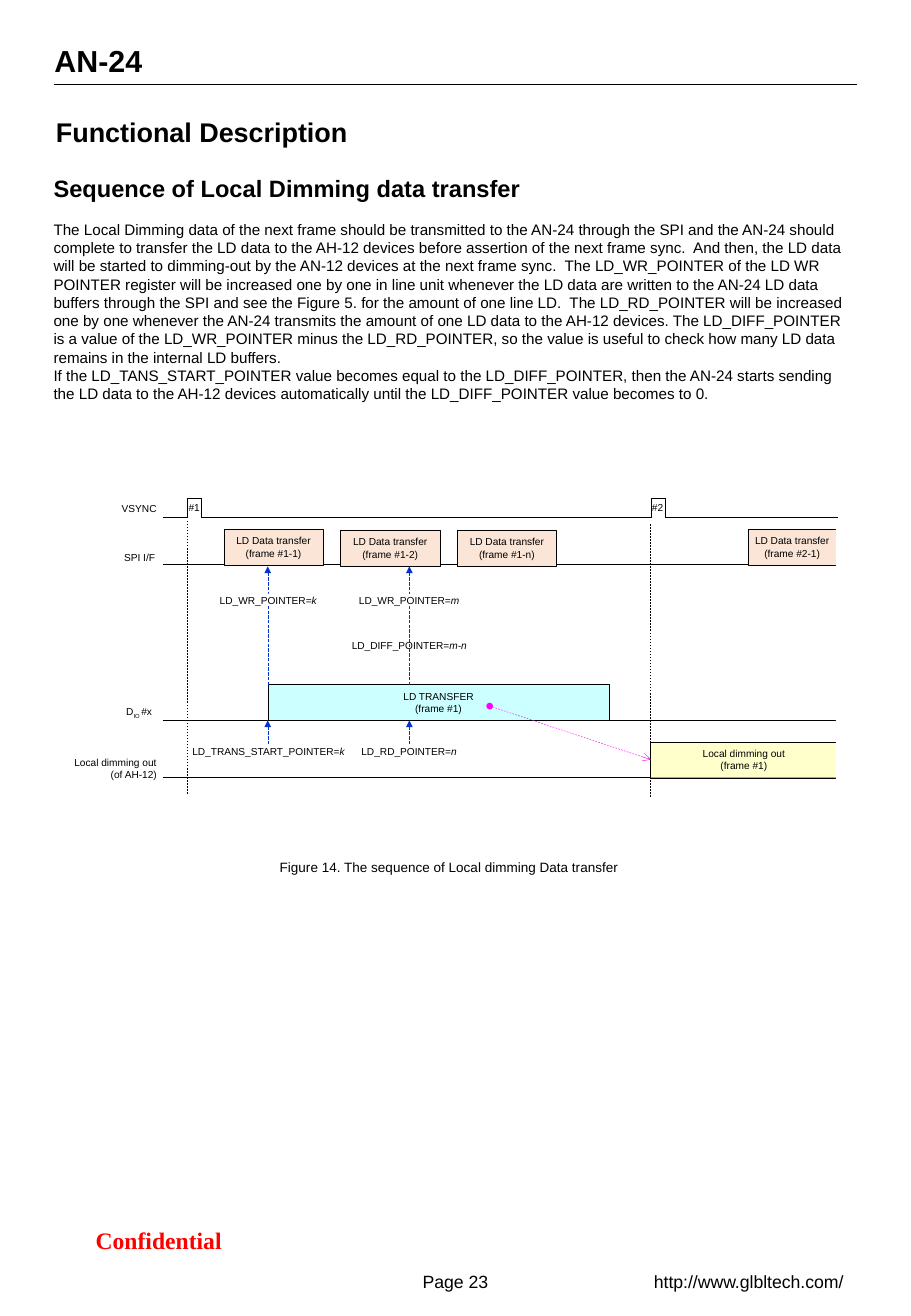
from itertools import pairwise

from lxml.etree import SubElement
from pptx import Presentation
from pptx.dml.color import RGBColor
from pptx.enum.dml import MSO_LINE
from pptx.enum.shapes import MSO_CONNECTOR, MSO_SHAPE
from pptx.enum.text import MSO_ANCHOR, MSO_AUTO_SIZE, PP_ALIGN
from pptx.oxml.ns import qn
from pptx.util import Cm, Pt

rgb = RGBColor.from_string
LEFT, CENTER = PP_ALIGN.LEFT, PP_ALIGN.CENTER


def write(sp, lines, size=6, color="000000", align=CENTER, font="Arial",
          bold=False, wrap=True):
    """Fill a shape with paragraphs, each given as a list of run texts."""
    tf = sp.text_frame
    tf.auto_size = MSO_AUTO_SIZE.NONE
    tf.word_wrap = wrap
    tf.vertical_anchor = MSO_ANCHOR.TOP if align == LEFT else MSO_ANCHOR.MIDDLE
    tf.margin_left = tf.margin_top = tf.margin_right = tf.margin_bottom = 0
    for i, texts in enumerate(lines):
        p = tf.add_paragraph() if i else tf.paragraphs[0]
        p.alignment = align
        for text in texts:
            r = p.add_run()
            r.text = text
            r.font.size = Pt(size)
            r.font.name = font
            r.font.bold = bold
            r.font.color.rgb = rgb(color)


def connect(x1, y1, x2, y2, color="000000", width=0.25, dash=None, head=None, tail=None):
    cxn = s.shapes.add_connector(MSO_CONNECTOR.STRAIGHT, Cm(x1), Cm(y1), Cm(x2), Cm(y2))
    cxn.line.color.rgb = rgb(color)
    cxn.line.width = Pt(width)
    if dash:
        cxn.line.dash_style = dash
    ln = cxn.line._get_or_add_ln()
    for tag, kind in (("a:headEnd", head), ("a:tailEnd", tail)):
        if kind:
            SubElement(ln, qn(tag), type=kind, w="sm", len="sm")
    SubElement(cxn._element.spPr, qn("a:effectLst"))


prs = Presentation()
prs.slide_width, prs.slide_height = Cm(19.05), Cm(27.51)
s = prs.slides.add_slide(prs.slide_layouts[5])

# Title, headings, header and footer
title = s.shapes.title
title.left, title.top, title.width, title.height = Cm(1.17), Cm(2.42), Cm(16.7), Cm(0.69)
write(title, [["Functional Description"]], 16, align=LEFT, bold=True)

connect(1.12, 1.77, 17.93, 1.77, width=0.5)
page_texts = [
    (1.14, 0.89, 1.88, 0.76, "AN-24", dict(size=18, align=LEFT, bold=True, wrap=False)),
    (1.12, 3.64, 16.54, 0.61, "Sequence of Local Dimming data transfer",
     dict(size=14, align=LEFT, bold=True)),
    (5.85, 17.96, 7.26, 0.36, "Figure 14. The sequence of Local dimming Data transfer",
     dict(size=8, align=LEFT, wrap=False)),
    (0.87, 25.5, 4.9, 0.86, "Confidential",
     dict(size=14, color="FF0000", font="Times New Roman", bold=True)),
    (8.33, 26.35, 2.39, 0.86, "Page 23", dict(size=10.5)),
    (13.27, 26.35, 4.78, 0.86, "http://www.glbltech.com/", dict(size=10.5)),
]
for x, y, w, h, text, style in page_texts:
    write(s.shapes.add_textbox(Cm(x), Cm(y), Cm(w), Cm(h)), [[text]], **style)

description = [
    "The Local Dimming data of the next frame should be transmitted to the AN-24 through "
    "the SPI and the AN-24 should",
    "complete to transfer the LD data to the AH-12 devices before assertion of the next "
    "frame sync.  And then, the LD data",
    "will be started to dimming-out by the AN-12 devices at the next frame sync.  "
    "The LD_WR_POINTER of the LD WR POINTER register will be increased one by one in line "
    "unit whenever the LD data are written to the AN-24 LD data buffers through the SPI and "
    "see the Figure 5. for the amount of one line LD.  The LD_RD_POINTER will be increased "
    "one by one whenever the AN-24 transmits the amount of one LD data to the AH-12 devices. "
    "The LD_DIFF_POINTER",
    "is a value of the LD_WR_POINTER minus the LD_RD_POINTER, so the value is useful to "
    "check how many LD data",
    "remains in the internal LD buffers.",
    "If the LD_TANS_START_POINTER value becomes equal to the LD_DIFF_POINTER, then the "
    "AN-24 starts sending",
    "the LD data to the AH-12 devices automatically until the LD_DIFF_POINTER value "
    "becomes to 0.",
]
body = s.shapes.add_textbox(Cm(1.12), Cm(4.6), Cm(16.54), Cm(3.86))
write(body, [[text] for text in description], 9, align=LEFT)

# Timing diagram: VSYNC waveform and signal tracks
low, high = 10.82, 10.41
vsync = [(3.4, low)]
for x in (3.91, 13.61):
    vsync += [(x, low), (x, high), (x + 0.3, high), (x + 0.3, low)]
vsync.append((17.53, low))
for start, end in pairwise(vsync):
    connect(*start, *end)
for y in (11.8, 15.06, 16.25):
    connect(3.4, y, 17.53, y)

signal_labels = [
    (2.53, 10.48, 0.76, [["VSYNC"]]),
    (2.54, 11.51, 0.76, [["SPI I/F"]]),
    (2.53, 14.74, 0.76, [["D", "IO ", "#x"]]),
    (1.55, 15.92, 1.73, [["Local dimming out"], ["(of AH-12)"]]),
    (3.88, 10.46, 0.36, [["#1"]]),
    (13.57, 10.46, 0.36, [["#2"]]),
]
for x, y, w, lines in signal_labels:
    sp = s.shapes.add_textbox(Cm(x), Cm(y), Cm(w), Cm(0.3))
    write(sp, lines)
    p = sp.text_frame.paragraphs[-1]
    if len(lines) == 2:
        p.alignment = PP_ALIGN.RIGHT
    if len(p.runs) == 3:
        p.runs[1]._r.get_or_add_rPr().set("baseline", "-25000")

# Transfer blocks
blocks = [
    (4.68, 11.06, 2.08, "FBE5D6", "LD Data transfer", "(frame #1-1)"),
    (7.12, 11.08, 2.08, "FBE5D6", "LD Data transfer", "(frame #1-2)"),
    (9.56, 11.08, 2.08, "FBE5D6", "LD Data transfer", "(frame #1-n)"),
    (15.65, 11.06, 1.83, "FBE5D6", "LD Data transfer", "(frame #2-1)"),
    (5.6, 14.31, 7.14, "CCFFFF", "LD TRANSFER", "(frame #1)"),
    (13.6, 15.51, 3.91, "FFFFCC", "Local dimming out", "(frame #1)"),
]
for x, y, w, fill, name, frame in blocks:
    sp = s.shapes.add_shape(MSO_SHAPE.RECTANGLE, Cm(x), Cm(y), Cm(w), Cm(0.75))
    sp.shadow.inherit = False
    sp.fill.solid()
    sp.fill.fore_color.rgb = rgb(fill)
    sp.line.color.rgb = rgb("000000")
    sp.line.width = Pt(0.25)
    write(sp, [[name], [frame]])

# White strip that leaves the last blocks open at the right
edge = s.shapes.add_shape(MSO_SHAPE.RECTANGLE, Cm(17.48), Cm(10.87), Cm(0.15), Cm(5.49))
edge.shadow.inherit = False
edge.fill.solid()
edge.fill.fore_color.rgb = rgb("FFFFFF")
edge.line.fill.background()

# Pointer labels; the arrows run over the first one and behind the rest
pointers = [
    (7.34, 13.36, 2.44, "LD_DIFF_POINTER=", "m-n"),
    (4.57, 12.41, 2.08, "LD_WR_POINTER=", "k"),
    (7.49, 12.42, 2.13, "LD_WR_POINTER=", "m"),
    (3.99, 15.57, 3.25, "LD_TRANS_START_POINTER=", "k"),
    (7.54, 15.57, 2.03, "LD_RD_POINTER=", "n"),
]
for i, (x, y, w, name, value) in enumerate(pointers):
    if i == 1:
        for ax in (5.6, 8.56):
            for top, bottom in ((11.84, 14.33), (15.06, 15.57)):
                connect(ax, top, ax, bottom, "0033CC", dash=MSO_LINE.LONG_DASH, head="triangle")
    sp = s.shapes.add_shape(MSO_SHAPE.RECTANGLE, Cm(x), Cm(y), Cm(w), Cm(0.25))
    sp.shadow.inherit = False
    sp.fill.solid()
    sp.fill.fore_color.rgb = rgb("FFFFFF")
    sp.line.fill.background()
    write(sp, [[name, value]], wrap=False)
    p = sp.text_frame.paragraphs[0]
    p.line_spacing = Pt(8)
    p.runs[1].font.italic = True

# Frame sync lines and the step from transfer to dimming out
connect(3.91, 16.59, 3.91, 10.9, dash=MSO_LINE.DASH)
connect(13.59, 16.66, 13.59, 10.95, dash=MSO_LINE.DASH)
connect(10.24, 14.76, 13.61, 15.88, "FF00FF", dash=MSO_LINE.DASH, head="oval", tail="arrow")

prs.save("out.pptx")
